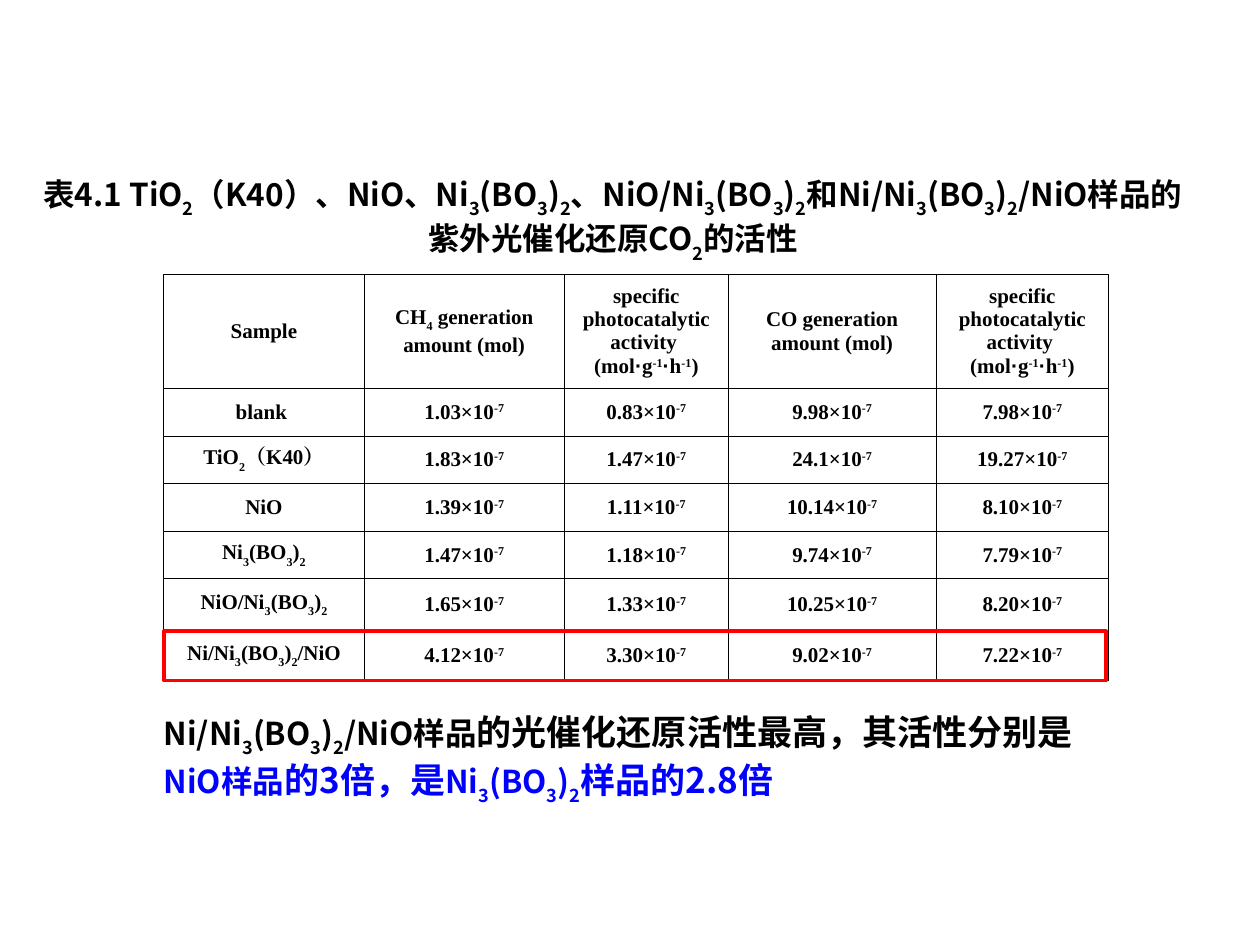
"""Build the slide on photocatalytic CO2 reduction activity."""
from pptx import Presentation
from pptx.dml.color import RGBColor
from pptx.enum.shapes import MSO_SHAPE
from pptx.enum.text import MSO_ANCHOR, PP_ALIGN
from pptx.oxml.xmlchemy import OxmlElement
from pptx.util import Inches, Pt

RECTANGLE = MSO_SHAPE.RECTANGLE
MIDDLE = MSO_ANCHOR.MIDDLE
LEFT, CENTER = PP_ALIGN.LEFT, PP_ALIGN.CENTER
BLACK = RGBColor(0x00, 0x00, 0x00)
BLUE = RGBColor(0x00, 0x00, 0xFF)
RED = RGBColor(0xFF, 0x00, 0x00)
SANS, SERIF, DOT_FONT = "Noto Sans CJK SC", "Times New Roman", "Arial"
SHIFTS = {"_": "-30000", "^": "30000"}

TITANIA = "TiO|_2|（K40）"
BORATE = "Ni|_3|(BO|_3|)|_2"
COMPOSITE = f"Ni/{BORATE}|/NiO"
CAPTION = [
    f"表4.1 {TITANIA}、NiO、{BORATE}|、NiO/{BORATE}|和{COMPOSITE}样品的",
    "紫外光催化还原CO|_2|的活性",
]
ACTIVITY = ["specific photocatalytic activity ", "(mol|·|g|^-1|·|h|^-1|)"]
HEADERS = [
    ["Sample"],
    ["CH|_4| generation amount (mol)"],
    ACTIVITY,
    ["CO generation amount (mol)"],
    ACTIVITY,
]
SAMPLES = [
    ("blank ", "1.03", "0.83", "9.98", "7.98"),
    (TITANIA, "1.83", "1.47", "24.1", "19.27"),
    ("NiO", "1.39", "1.11", "10.14", "8.10"),
    (BORATE, "1.47", "1.18", "9.74", "7.79"),
    (f"NiO/{BORATE}", "1.65", "1.33", "10.25", "8.20"),
    (COMPOSITE, "4.12", "3.30", "9.02", "7.22"),
]
CONCLUSION = [
    (BLACK, [(f"{COMPOSITE}样品", 18), ("的光催化还原活性最高，其活性分别是", 20)]),
    (BLUE, [("NiO样品", 18), ("的3倍，是", 20), (BORATE, 18), ("样品的2.8倍", 20)]),
]
TABLE_LEFT, TABLE_TOP = 1.3, 2.18
COLUMN_WIDTHS = [1.59, 1.59, 1.3, 1.65, 1.37]
ROW_HEIGHTS = [0.9, 0.38, 0.38, 0.38, 0.37, 0.42, 0.39]


def add_spans(para, markup, size=None):
    for piece in markup.split("|"):
        span = para.add_run()
        shift = SHIFTS.get(piece[0])
        span.text = piece[1:] if shift else piece
        if size:
            span.font.size = Pt(size)
        if shift:
            span.font._element.set("baseline", shift)
        if piece == "·":
            span.font.name = DOT_FONT


def fill_text(frame, lines, font_name, size, align):
    for index, (color, spans) in enumerate(lines):
        para = frame.paragraphs[0] if index == 0 else frame.add_paragraph()
        para.alignment = align
        para.font.name = font_name
        para.font.size = Pt(size)
        para.font.bold = True
        para.font.color.rgb = color
        east_asian = OxmlElement("a:ea")
        east_asian.set("typeface", font_name)
        para.font._element.append(east_asian)
        for markup, span_size in spans:
            add_spans(para, markup, span_size)


def plain_lines(lines):
    return [(BLACK, [(line, None)]) for line in lines]


def add_borders(cell):
    properties = cell._tc.get_or_add_tcPr()
    for position, side in enumerate(("lnL", "lnR", "lnT", "lnB")):
        border = OxmlElement(f"a:{side}")
        border.set("w", str(Pt(0.45)))
        fill = OxmlElement("a:solidFill")
        color = OxmlElement("a:srgbClr")
        color.set("val", str(BLACK))
        fill.append(color)
        border.append(fill)
        properties.insert(position, border)


def add_caption(page):
    title = page.shapes.title
    title.left, title.top = Inches(-0.44), Inches(1.34)
    title.width, title.height = Inches(10.61), Inches(0.8)
    title.text_frame.word_wrap = False
    title.text_frame.vertical_anchor = MIDDLE
    fill_text(title.text_frame, plain_lines(CAPTION), SANS, 18, CENTER)


def add_activity_table(page):
    rows = [HEADERS] + [
        [[name]] + [[f"{value}×10|^-7"] for value in values]
        for name, *values in SAMPLES
    ]
    table = page.shapes.add_table(
        len(rows), len(HEADERS), Inches(TABLE_LEFT), Inches(TABLE_TOP),
        Inches(sum(COLUMN_WIDTHS)), Inches(sum(ROW_HEIGHTS)),
    ).table
    table.first_row = table.horz_banding = False
    for column, width in zip(table.columns, COLUMN_WIDTHS):
        column.width = Inches(width)
    for row, height, contents in zip(table.rows, ROW_HEIGHTS, rows):
        row.height = Inches(height)
        for cell, lines in zip(row.cells, contents):
            cell.vertical_anchor = MIDDLE
            cell.fill.background()
            add_borders(cell)
            fill_text(cell.text_frame, plain_lines(lines), SERIF, 12, CENTER)


def add_highlight(page):
    box = page.shapes.add_shape(
        RECTANGLE, Inches(TABLE_LEFT), Inches(TABLE_TOP + sum(ROW_HEIGHTS[:-1])),
        Inches(7.48), Inches(ROW_HEIGHTS[-1]),
    )
    box.shadow.inherit = False
    box.fill.background()
    box.line.color.rgb = RED
    box.line.width = Pt(2)


def add_conclusion(page):
    box = page.shapes.add_textbox(Inches(1.14), Inches(5.42), Inches(7.72), Inches(1.2))
    frame = box.text_frame
    frame.word_wrap = True
    frame.vertical_anchor = MIDDLE
    frame.margin_left = Inches(0.16)
    fill_text(frame, CONCLUSION, SANS, 20, LEFT)


def main():
    deck = Presentation()
    deck.slide_width, deck.slide_height = Inches(10), Inches(7.5)
    page = deck.slides.add_slide(deck.slide_layouts[5])
    add_caption(page)
    add_activity_table(page)
    add_conclusion(page)
    add_highlight(page)
    deck.save("out.pptx")


if __name__ == "__main__":
    main()
